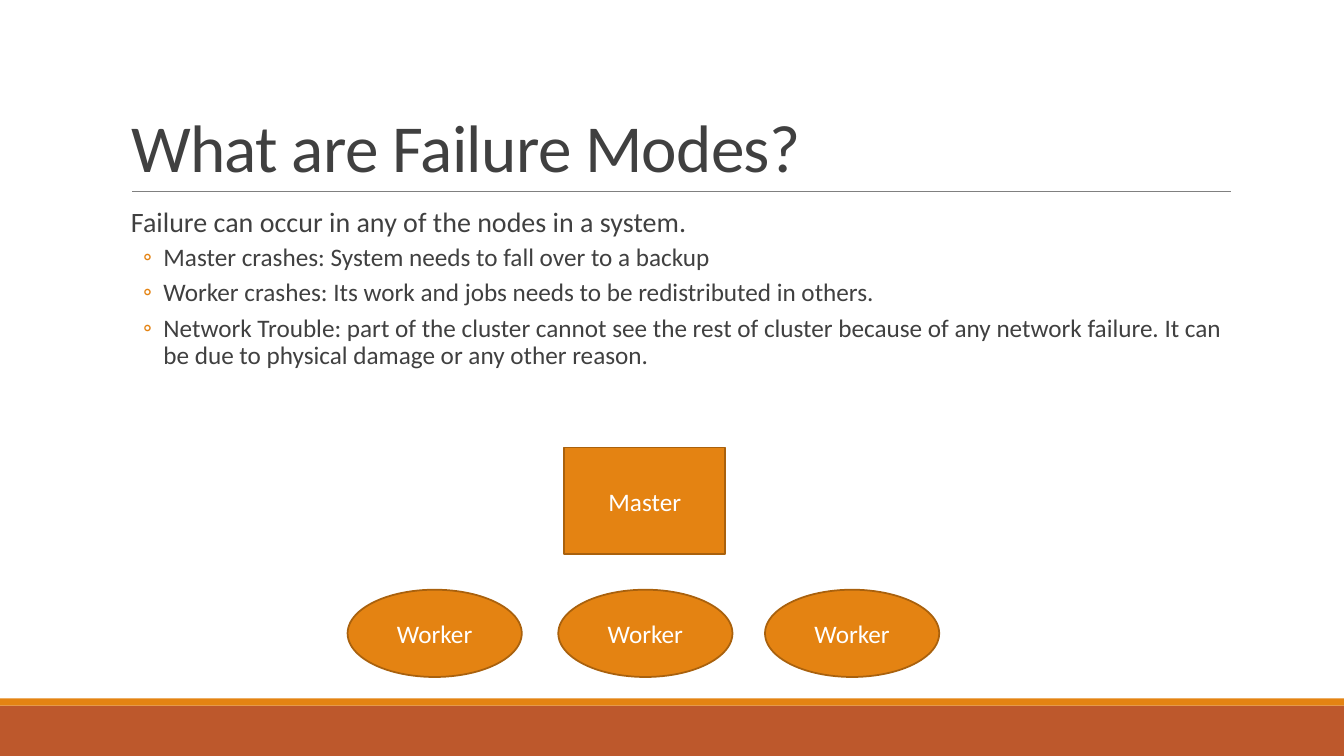
"""Build the slide on failure modes of a master and worker system."""
from lxml import etree
from pptx import Presentation
from pptx.dml.color import RGBColor
from pptx.enum.shapes import MSO_CONNECTOR, MSO_SHAPE
from pptx.enum.text import MSO_ANCHOR, MSO_AUTO_SIZE, PP_ALIGN
from pptx.oxml.ns import qn
from pptx.util import Cm, Pt

RECT, OVAL = MSO_SHAPE.RECTANGLE, MSO_SHAPE.OVAL
LEFT, CENTER = PP_ALIGN.LEFT, PP_ALIGN.CENTER
TOP, MIDDLE, BOTTOM = MSO_ANCHOR.TOP, MSO_ANCHOR.MIDDLE, MSO_ANCHOR.BOTTOM

HEADING = "What are Failure Modes?"
INTRO = "Failure can occur in any of the nodes in a system."
FAILURES = [
    "Master crashes: System needs to fall over to a backup",
    "Worker crashes: Its work and jobs needs to be redistributed in others.",
    "Network Trouble: part of the cluster cannot see the rest of cluster because of "
    "any network failure. It can be due to physical damage or any other reason.",
]
MASTER = ("Master", RECT, (14.22, 11.28, 4.06, 2.69))
WORKER_LEFTS = [8.76, 14.07, 19.28]
WORKERS = [("Worker", OVAL, (left, 14.86, 4.39, 2.2)) for left in WORKER_LEFTS]

WIDTH, HEIGHT = 33.87, 19.05
BANDS = [("BD582C", (0, 17.78, WIDTH, 1.27)), ("E48312", (0, 17.6, WIDTH, 0.18))]
ORANGE, BROWN, WHITE, DARK, GRAY = "E48312", "A9610D", "FFFFFF", "404040", "808080"
INTRO_FORMAT = {"line_spacing": 0.9, "space_before": Pt(12), "space_after": Pt(2)}
FAILURE_FORMAT = {"line_spacing": 0.9, "space_before": Pt(2), "space_after": Pt(4)}


def color(value):
    return RGBColor.from_string(value)


def assign(target, values):
    for key, value in values.items():
        setattr(target, key, value)


def write(paragraph, text, size, ink, align=LEFT):
    paragraph.alignment = align
    run = paragraph.add_run()
    run.text = text
    assign(run.font, {"name": "Calibri", "size": Pt(size)})
    run.font.color.rgb = color(ink)
    return run


def add_block(slide, kind, box, fill, outline=None):
    block = slide.shapes.add_shape(kind, *map(Cm, box))
    block.shadow.inherit = False
    block.fill.solid()
    block.fill.fore_color.rgb = color(fill)
    if outline:
        block.line.color.rgb = color(outline)
        block.line.width = Pt(1.25)
    else:
        block.line.fill.background()
    return block


def add_node(slide, label, kind, box):
    frame = add_block(slide, kind, box, ORANGE, BROWN).text_frame
    frame.vertical_anchor = MIDDLE
    write(frame.paragraphs[0], label, 18, WHITE, CENTER)


def add_rule(slide):
    rule = slide.shapes.add_connector(
        MSO_CONNECTOR.STRAIGHT, Cm(3.33), Cm(4.83), Cm(31.01), Cm(4.83))
    rule.line.color.rgb = color(GRAY)
    rule.line.width = Pt(0.5)
    etree.SubElement(rule._element.spPr, qn("a:effectLst"))


def add_heading(slide):
    heading = slide.shapes.title
    assign(heading, dict(zip(("left", "top", "width", "height"),
                             map(Cm, (3.05, 0.79, 27.94, 4.04)))))
    frame = heading.text_frame
    assign(frame, {"vertical_anchor": BOTTOM, "word_wrap": True,
                   "auto_size": MSO_AUTO_SIZE.NONE})
    paragraph = frame.paragraphs[0]
    paragraph.line_spacing = 0.85
    run = write(paragraph, HEADING, 48, DARK)
    run.font._element.set("spc", "-50")


def add_bullet(paragraph):
    properties = paragraph._p.get_or_add_pPr()
    tint = etree.SubElement(properties, qn("a:buClr"))
    etree.SubElement(tint, qn("a:srgbClr"), val=ORANGE)
    etree.SubElement(properties, qn("a:buFont"), typeface="Calibri")
    etree.SubElement(properties, qn("a:buChar"), char="◦")


def indent(paragraph, margin, first):
    properties = paragraph._p.get_or_add_pPr()
    properties.set("marL", str(Cm(margin)))
    properties.set("indent", str(Cm(first)))


def add_body(slide):
    frame = slide.shapes.add_textbox(*map(Cm, (3.05, 5.13, 27.94, 11.18))).text_frame
    assign(frame, {"word_wrap": True, "vertical_anchor": TOP,
                   "margin_left": 0, "margin_right": 0})
    intro = frame.paragraphs[0]
    assign(intro, INTRO_FORMAT)
    indent(intro, 0.25, 0)
    write(intro, INTRO, 20, DARK)
    for failure in FAILURES:
        paragraph = frame.add_paragraph()
        paragraph.level = 1
        assign(paragraph, FAILURE_FORMAT)
        indent(paragraph, 1.07, -0.51)
        add_bullet(paragraph)
        write(paragraph, failure, 18, DARK)


def main():
    deck = Presentation()
    assign(deck, {"slide_width": Cm(WIDTH), "slide_height": Cm(HEIGHT)})
    slide = deck.slides.add_slide(deck.slide_layouts[5])
    for fill, box in BANDS:
        add_block(slide, RECT, box, fill)
    add_rule(slide)
    add_heading(slide)
    add_body(slide)
    for node in [MASTER, *WORKERS]:
        add_node(slide, *node)
    deck.save("out.pptx")


if __name__ == "__main__":
    main()
